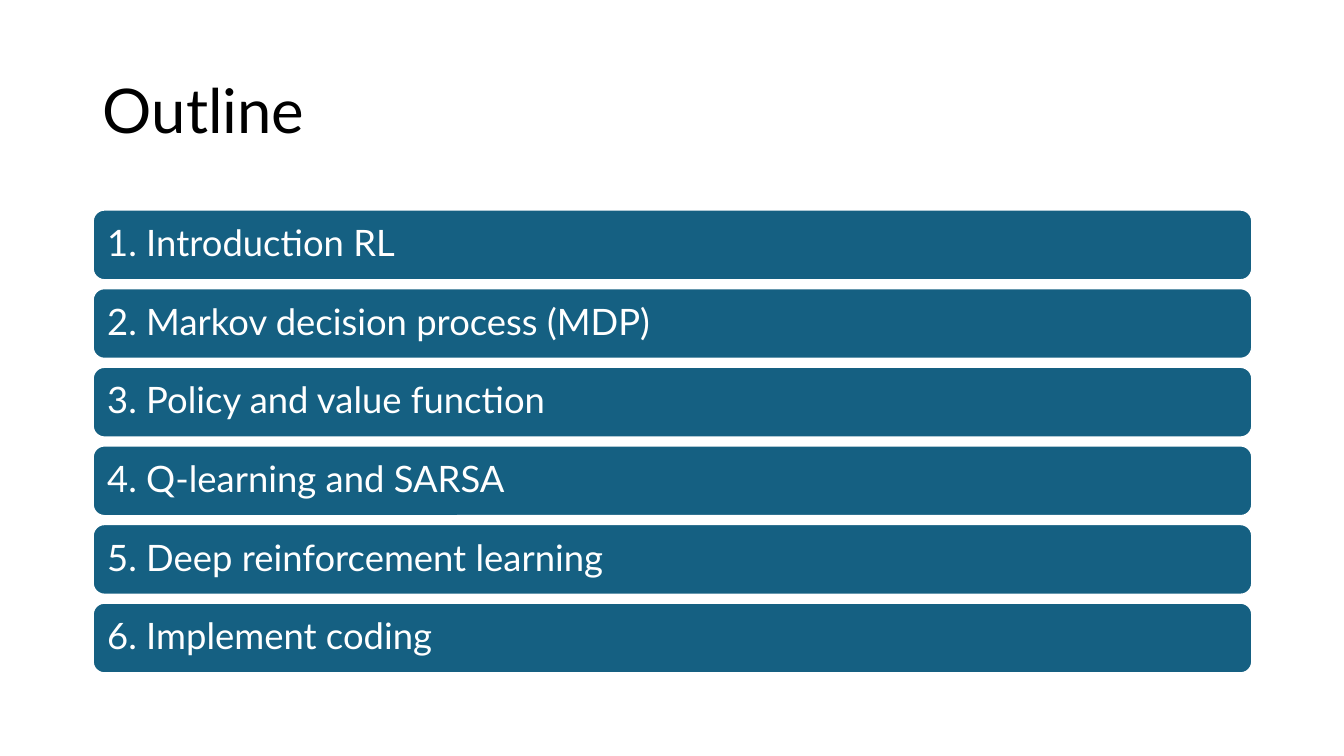
from pptx import Presentation
from pptx.dml.color import RGBColor
from pptx.enum.shapes import MSO_SHAPE as SHAPE
from pptx.enum.text import MSO_ANCHOR as ANCHOR, PP_ALIGN as ALIGN
from pptx.util import Inches, Pt

BLACK = RGBColor(0x00, 0x00, 0x00)
WHITE = RGBColor(0xFF, 0xFF, 0xFF)
TEAL = RGBColor(0x15, 0x60, 0x82)
FONT = "Lato"
TOPICS = [
    "Introduction RL",
    "Markov decision process (MDP)",
    "Policy and value function",
    "Q-learning and SARSA",
    "Deep reinforcement learning",
    "Implement coding",
]


def set_text(s, text, size, color, frame):
    """Write one left-aligned, vertically centred line into a shape."""
    tf = s.text_frame
    for name, value in frame.items():
        setattr(tf, name, value)
    p = tf.paragraphs[0]
    for name, value in {"alignment": ALIGN.LEFT, "line_spacing": 0.9}.items():
        setattr(p, name, value)
    r = p.add_run()
    r.text = text
    for name, value in {"name": FONT, "size": Pt(size)}.items():
        setattr(r.font, name, value)
    r.font.color.rgb = color


def add_title(slide, text, left, top, width, height):
    """Place the title placeholder in the given box."""
    s = slide.shapes.title
    box = {"left": left, "top": top, "width": width, "height": height}
    for name, value in box.items():
        setattr(s, name, Inches(value))
    set_text(s, text, 44, BLACK, {"word_wrap": True, "vertical_anchor": ANCHOR.MIDDLE})


def add_topics(slide, topics, left, top, width, height, gap=0.08):
    """Stack numbered bars of equal height in the given box."""
    bar = (height - gap * (len(topics) - 1)) / len(topics)
    margins = {f"margin_{side}": Inches(0.11) for side in ("left", "top", "right", "bottom")}
    frame = {"word_wrap": True, "vertical_anchor": ANCHOR.MIDDLE, **margins}
    for i, topic in enumerate(topics):
        y = top + i * (bar + gap)
        s = slide.shapes.add_shape(
            SHAPE.ROUNDED_RECTANGLE, Inches(left), Inches(y), Inches(width), Inches(bar)
        )
        s.shadow.inherit = False
        s.fill.solid()
        s.fill.fore_color.rgb = TEAL
        s.line.color.rgb = WHITE
        s.line.width = Pt(1.5)
        set_text(s, f"{i + 1}. {topic}", 26, WHITE, frame)


def main():
    """Build the outline slide and save it."""
    prs = Presentation()
    prs.slide_width, prs.slide_height = Inches(13.33), Inches(7.5)
    slide = prs.slides.add_slide(prs.slide_layouts[5])
    add_title(slide, "Outline", 0.92, 0.4, 11.5, 1.45)
    add_topics(slide, TOPICS, 0.92, 2.08, 11.5, 4.6)
    prs.save("out.pptx")


if __name__ == "__main__":
    main()
